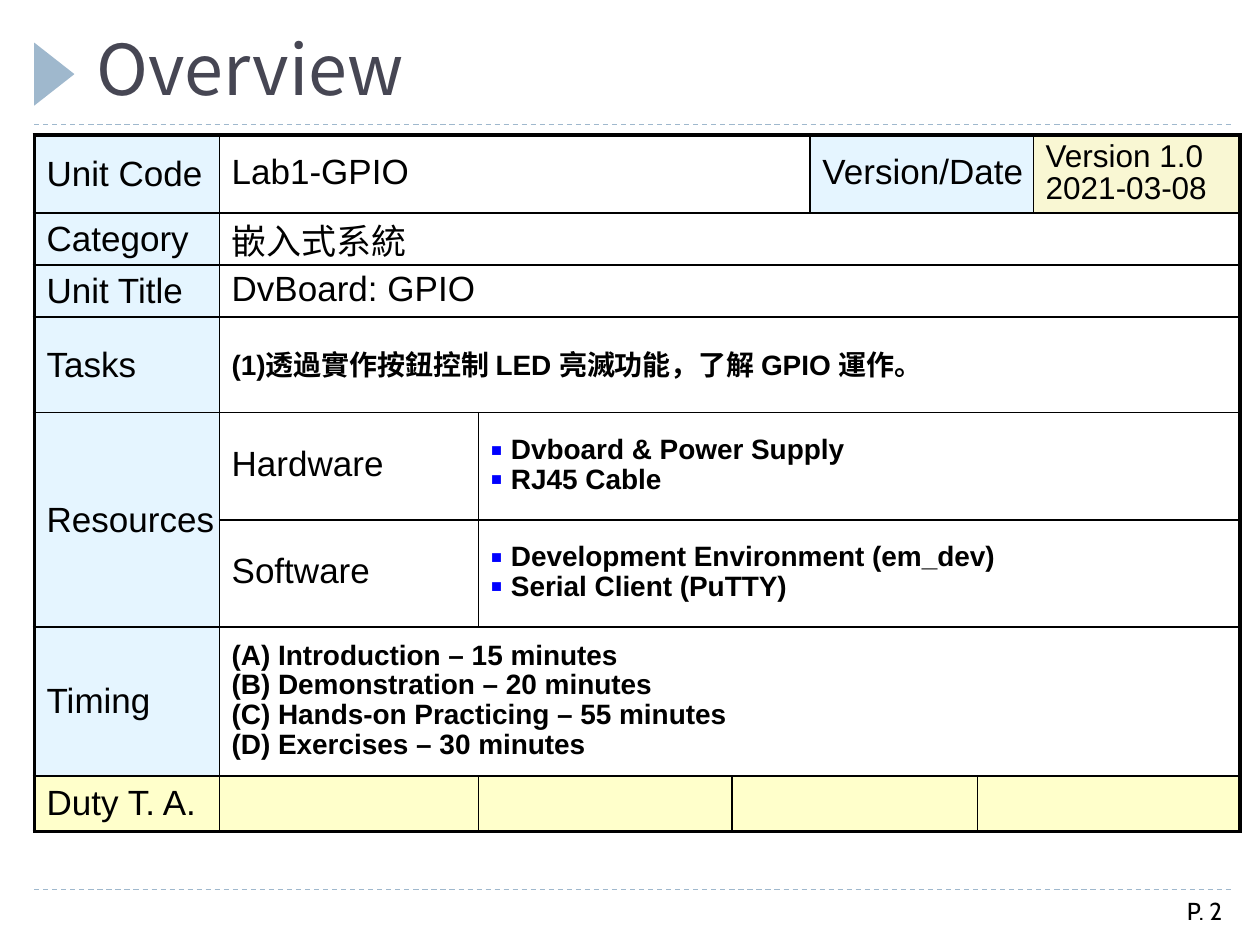
"""Build the Overview slide of a GPIO lab unit."""
from dataclasses import dataclass
from typing import Optional

from lxml import etree
from pptx import Presentation
from pptx import util as u
from pptx.dml.color import RGBColor
from pptx.enum import dml, shapes, text
from pptx.oxml import ns

BLACK = RGBColor(0x00, 0x00, 0x00)
SLATE = RGBColor(0x46, 0x46, 0x53)
STEEL = RGBColor(0x9F, 0xB8, 0xCD)
SKY = RGBColor(0xCC, 0xEC, 0xFF)
SAND = RGBColor(0xF5, 0xF1, 0xA9)
YELLOW = RGBColor(0xFF, 0xFF, 0x99)
BLUE = RGBColor(0x00, 0x00, 0xFF)

COLUMNS = (3.73, 5.23, 5.11, 1.57, 3.38, 1.12, 4.17)
ROWS = (1.57, 1.04, 1.04, 1.93, 2.16, 2.16, 3.0, 1.12)
THICK, THIN = 2.25, 1


@dataclass(frozen=True)
class Entry:
    row: int
    col: int
    lines: tuple = ()
    rows: int = 1
    cols: int = 1
    size: float = 20
    bold: bool = False
    bullet: bool = False
    fill: Optional[RGBColor] = None


def label(row: int, name: str, rows: int = 1, fill: RGBColor = SKY) -> Entry:
    return Entry(row, 0, (name,), rows=rows, fill=fill)


def details(row: int, col: int, *lines: str, bullet: bool = False) -> Entry:
    return Entry(row, col, lines, cols=len(COLUMNS) - col, size=16, bold=True, bullet=bullet)


ENTRIES = (
    label(0, "Unit Code"),
    Entry(0, 1, ("Lab1-GPIO",), cols=3),
    Entry(0, 4, ("Version/Date",), cols=2, fill=SKY),
    Entry(0, 6, ("Version 1.0", "2021-03-08"), size=18, fill=SAND),
    label(1, "Category"),
    Entry(1, 1, ("嵌入式系統",), cols=6),
    label(2, "Unit Title"),
    Entry(2, 1, ("DvBoard: GPIO",), cols=6),
    label(3, "Tasks"),
    details(3, 1, "(1)透過實作按鈕控制 LED 亮滅功能，了解 GPIO 運作。"),
    label(4, "Resources", rows=2),
    Entry(4, 1, ("Hardware",)),
    details(4, 2, "Dvboard & Power Supply", "RJ45 Cable", bullet=True),
    Entry(5, 1, ("Software",)),
    details(5, 2, "Development Environment (em_dev)", "Serial Client (PuTTY)", bullet=True),
    label(6, "Timing"),
    details(6, 1, "(A) Introduction – 15 minutes", "(B) Demonstration – 20 minutes",
            "(C) Hands-on Practicing – 55 minutes", "(D) Exercises – 30 minutes"),
    label(7, "Duty T. A.", fill=YELLOW),
    Entry(7, 1, fill=YELLOW),
    Entry(7, 2, fill=YELLOW),
    Entry(7, 3, cols=2, fill=YELLOW),
    Entry(7, 5, cols=2, fill=YELLOW),
)


def sub(parent, tag: str, **attrs):
    return etree.SubElement(parent, ns.qn(tag), attrs)


def add_bullet(p) -> None:
    pPr = p._p.get_or_add_pPr()
    indent = u.Cm(0.4)
    pPr.set("marL", str(indent))
    pPr.set("indent", str(-indent))
    sub(sub(pPr, "a:buClr"), "a:srgbClr", val=str(BLUE))
    sub(pPr, "a:buSzPct", val="65000")
    sub(pPr, "a:buFont", typeface="Arial")
    sub(pPr, "a:buChar", char="■")


def write(tf, lines, *, size: float, font: str = "Arial", color: RGBColor = BLACK,
          bold: bool = False, align=None, spacing: Optional[float] = None,
          after: Optional[float] = None, bullet: bool = False) -> None:
    for i, line in enumerate(lines):
        p = tf.add_paragraph() if i else tf.paragraphs[0]
        if bullet:
            add_bullet(p)
        p.alignment = align
        p.line_spacing = spacing
        if after is not None:
            p.space_after = u.Pt(after)
        r = p.add_run()
        r.text = line
        r.font.name, r.font.size, r.font.bold = font, u.Pt(size), bold
        r.font.color.rgb = color


def add_text(s, line: str, left: float, top: float, width: float, height: float,
             anchor=text.MSO_ANCHOR.TOP, **style) -> None:
    tf = s.shapes.add_textbox(u.Cm(left), u.Cm(top), u.Cm(width), u.Cm(height)).text_frame
    tf.word_wrap = True
    tf.vertical_anchor = anchor
    write(tf, (line,), **style)


def add_rule(s, top: float) -> None:
    line = s.shapes.add_connector(shapes.MSO_CONNECTOR.STRAIGHT,
                                  u.Cm(0.69), u.Cm(top), u.Cm(24.89), u.Cm(top))
    line.line.color.rgb = STEEL
    line.line.width = u.Pt(0.75)
    line.line.dash_style = dml.MSO_LINE.DASH
    sub(line._element.spPr, "a:effectLst")


def add_borders(cell, entry: Entry) -> None:
    outer = {
        "a:lnL": entry.col == 0,
        "a:lnR": entry.col + entry.cols == len(COLUMNS),
        "a:lnT": entry.row == 0,
        "a:lnB": entry.row + entry.rows == len(ROWS),
    }
    tcPr = cell._tc.get_or_add_tcPr()
    for i, (tag, is_outer) in enumerate(outer.items()):
        ln = etree.Element(ns.qn(tag), w=str(u.Pt(THICK if is_outer else THIN)))
        sub(sub(ln, "a:solidFill"), "a:srgbClr", val=str(BLACK))
        tcPr.insert(i, ln)


def fill_cell(cell, color: Optional[RGBColor]) -> None:
    if color is None:
        cell.fill.background()
        return
    cell.fill.solid()
    cell.fill.fore_color.rgb = color
    sub(cell._tc.tcPr.find(".//" + ns.qn("a:srgbClr")), "a:alpha", val="50000")


def draw_entry(table, entry: Entry) -> None:
    cell = table.cell(entry.row, entry.col)
    if entry.rows * entry.cols > 1:
        cell.merge(table.cell(entry.row + entry.rows - 1, entry.col + entry.cols - 1))
    cell.vertical_anchor = text.MSO_ANCHOR.MIDDLE
    cell.margin_left = u.Cm(0.25)
    cell.margin_right = cell.margin_top = cell.margin_bottom = u.Cm(0.1)
    write(cell.text_frame, entry.lines, size=entry.size, bold=entry.bold, bullet=entry.bullet,
          spacing=0.9 if entry.col else None, after=1 if entry.bold else None)
    fill_cell(cell, entry.fill)
    add_borders(cell, entry)


def add_overview(s) -> None:
    table = s.shapes.add_table(len(ROWS), len(COLUMNS), u.Cm(0.69), u.Cm(2.72),
                               u.Cm(sum(COLUMNS)), u.Cm(sum(ROWS))).table
    table.first_row = table.horz_banding = False
    for column, width in zip(table.columns, COLUMNS):
        column.width = u.Cm(width)
    for row, height in zip(table.rows, ROWS):
        row.height = u.Cm(height)
    for cell in table.iter_cells():
        fill_cell(cell, None)
    for entry in ENTRIES:
        draw_entry(table, entry)


def main() -> None:
    prs = Presentation()
    prs.slide_width, prs.slide_height = u.Cm(25.4), u.Cm(19.05)
    s = prs.slides.add_slide(prs.slide_layouts[6])
    for top in (17.93, 2.51):
        add_rule(s, top)
    sp = s.shapes.add_shape(shapes.MSO_SHAPE.ISOSCELES_TRIANGLE,
                            u.Cm(0.46), u.Cm(1.09), u.Cm(1.27), u.Cm(0.81))
    sp.rotation = 90
    sp.shadow.inherit = False
    sp.fill.solid()
    sp.fill.fore_color.rgb = STEEL
    sp.line.fill.background()
    add_text(s, "P. 2", 23.29, 17.93, 1.6, 1.45, size=14, font="Cabin",
             align=text.PP_ALIGN.RIGHT)
    add_text(s, "Overview", 1.7, 0.43, 23.22, 1.91, anchor=text.MSO_ANCHOR.BOTTOM,
             size=40, font="Noto Sans CJK SC", color=SLATE)
    add_overview(s)
    prs.save("out.pptx")


if __name__ == "__main__":
    main()
